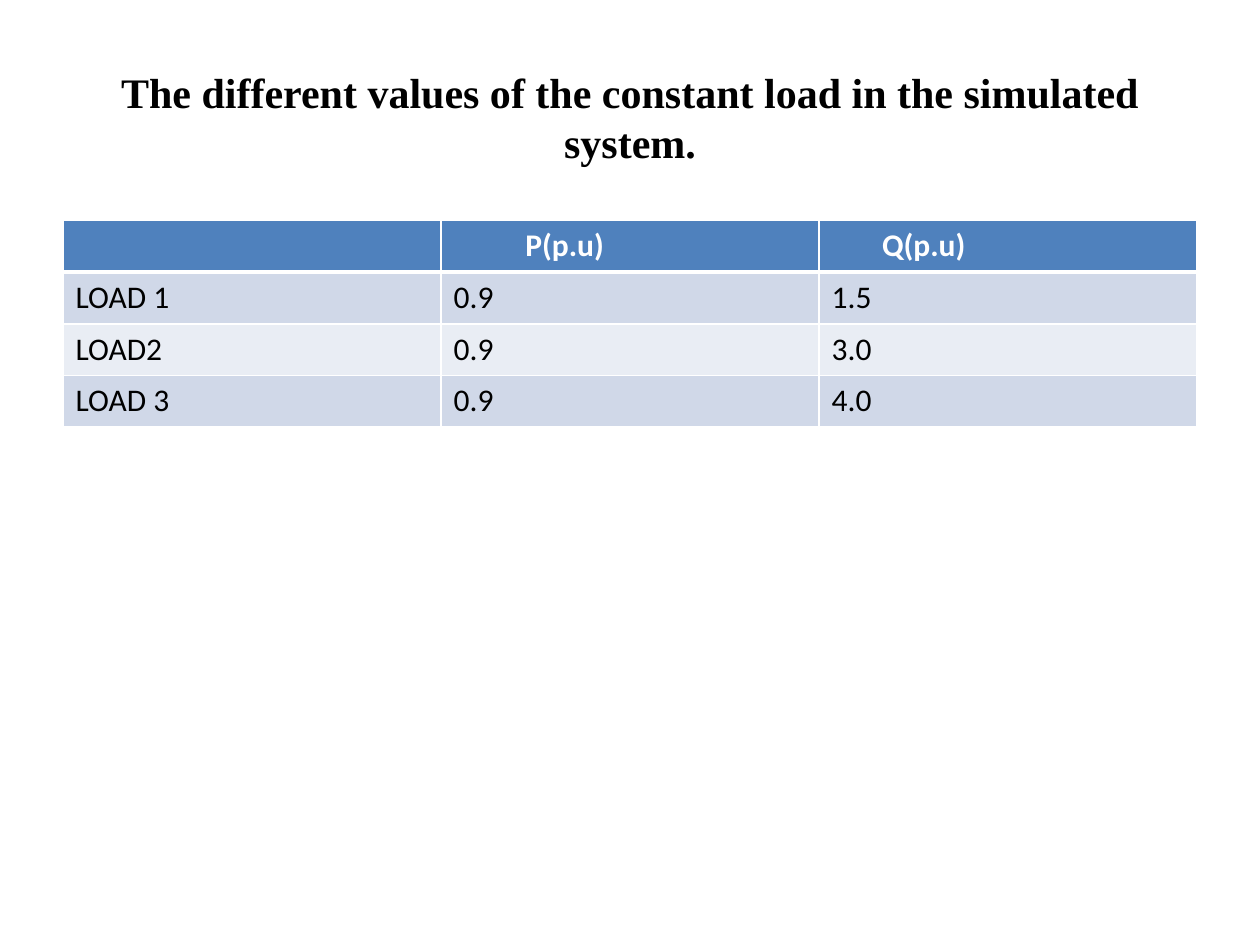
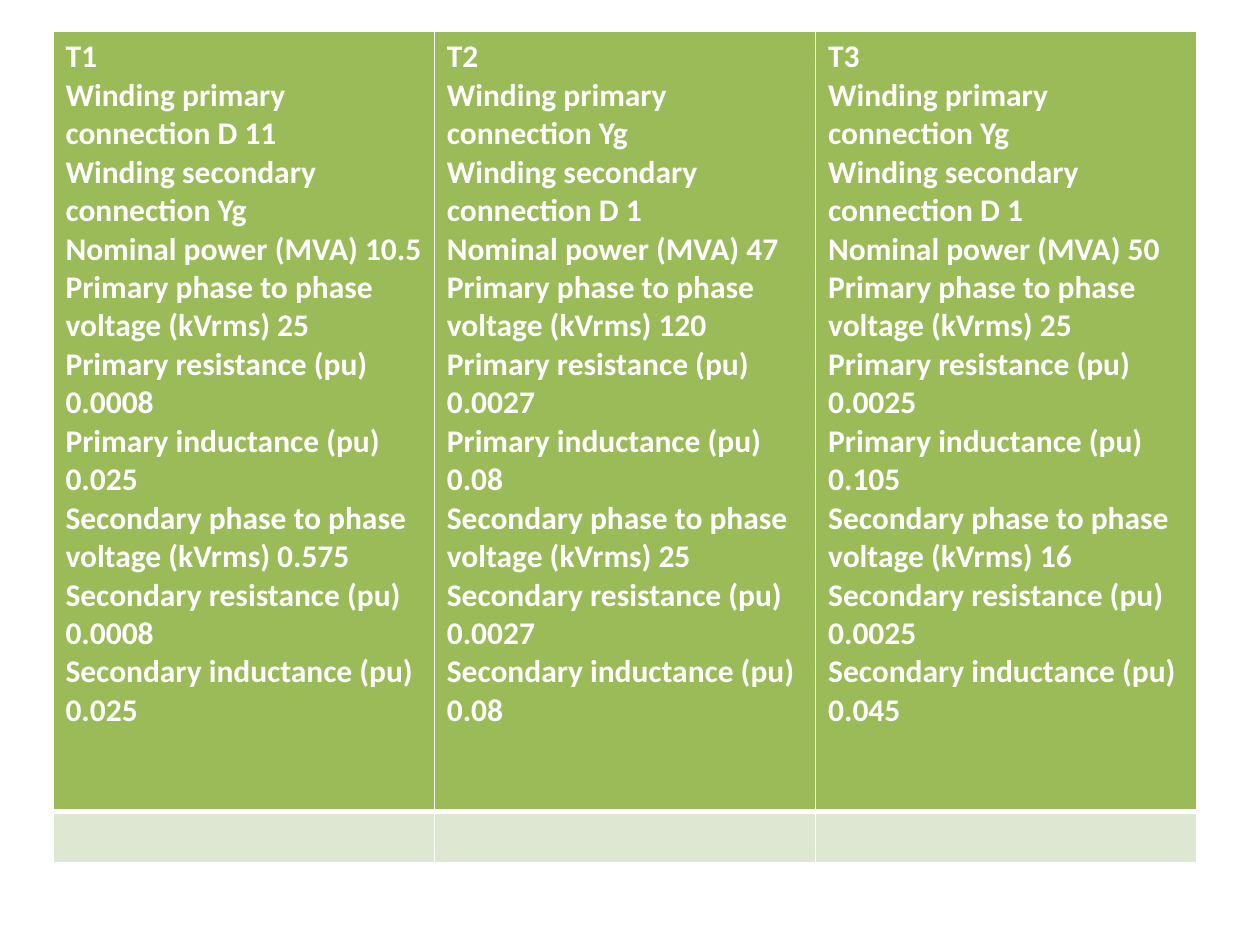
from lxml.etree import SubElement
from pptx import Presentation
from pptx.dml.color import RGBColor
from pptx.enum.text import MSO_ANCHOR, PP_ALIGN
from pptx.oxml.ns import qn
from pptx.util import Inches, Pt

WHITE, BLACK = "FFFFFF", "000000"
BLUE, BLUE_BANDS = "4F81BD", ("D0D8E8", "E9EDF4")
GREEN, GREEN_BANDS = "9BBB59", ("DEE7D1",)
TITLE_FORMAT = {"name": "Times New Roman", "size": Pt(24), "bold": True}
CELL_FORMAT = {"name": "Calibri", "size": Pt(18)}
THIN, THICK = 1, 3


def style_font(font, color, settings):
    for attribute, value in settings.items():
        setattr(font, attribute, value)
    font.color.rgb = RGBColor.from_string(color)


def add_grid(slide, contents, left, top, width, row_heights, head_color, bands):
    """Add a table with a coloured head row, banded body rows and white rules."""
    grid = slide.shapes.add_table(len(contents), len(contents[0]), left, top,
                                  width, sum(row_heights)).table
    for r, (texts, height) in enumerate(zip(contents, row_heights)):
        grid.rows[r].height = height
        head = r == 0
        rules = {"a:lnL": THIN, "a:lnR": THIN,
                 "a:lnT": THICK if r == 1 else THIN,
                 "a:lnB": THICK if head else THIN}
        for c, text in enumerate(texts):
            cell = grid.cell(r, c)
            cell.text = text
            for paragraph in cell.text_frame.paragraphs:
                style_font(paragraph.font, WHITE if head else BLACK,
                           {**CELL_FORMAT, "bold": head})
                for run in paragraph.runs:
                    style_font(run.font, WHITE if head else BLACK,
                               {**CELL_FORMAT, "bold": head})
            properties = cell._tc.get_or_add_tcPr()
            for tag, points in rules.items():
                rule = SubElement(properties, qn(tag), w=str(Pt(points)))
                paint = SubElement(rule, qn("a:solidFill"))
                SubElement(paint, qn("a:srgbClr"), val=WHITE)
            cell.fill.solid()
            cell.fill.fore_color.rgb = RGBColor.from_string(
                head_color if head else bands[(r - 1) % len(bands)])
    return grid


deck = Presentation()
deck.slide_width, deck.slide_height = Inches(10), Inches(7.5)
W, H = deck.slide_width, deck.slide_height
MARGIN = int(W * 0.05)

# Slide 1: constant loads
loads_slide = deck.slides.add_slide(deck.slide_layouts[5])
heading = loads_slide.shapes.title
heading.left, heading.top = MARGIN, int(H * 0.04)
heading.width, heading.height = W - 2 * MARGIN, int(H / 6)
heading.text_frame.vertical_anchor = MSO_ANCHOR.MIDDLE
heading.text_frame.text = ("The different values of the constant load "
                           "in the simulated\vsystem.")
heading_line = heading.text_frame.paragraphs[0]
heading_line.alignment = PP_ALIGN.CENTER
for run in heading_line.runs:
    style_font(run.font, BLACK, TITLE_FORMAT)

loads = [
    ["", "P(p.u)", "Q(p.u)"],
    ["LOAD 1", "0.9", "1.5"],
    ["LOAD2", "0.9", "3.0"],
    ["LOAD 3", "0.9", "4.0"],
]
load_grid = add_grid(loads_slide, loads, MARGIN, Inches(1.75), W - 2 * MARGIN,
                     [Inches(0.41)] * len(loads), BLUE, BLUE_BANDS)
for column, indent in {1: 0.67, 2: 0.5}.items():
    load_grid.cell(0, column).margin_left = Inches(indent)

# Slide 2: transformer parameters
transformer_slide = deck.slides.add_slide(deck.slide_layouts[6])
parameters = [
    "Winding primary connection",
    "Winding secondary connection",
    "Nominal power (MVA)",
    "Primary phase to phase voltage (kVrms)",
    "Primary resistance (pu)",
    "Primary inductance (pu)",
    "Secondary phase to phase voltage (kVrms)",
    "Secondary resistance (pu)",
    "Secondary inductance (pu)",
]
transformers = {
    "T1": ["D 11", "Yg", "10.5", "25", "0.0008", "0.025", "0.575", "0.0008", "0.025"],
    "T2": ["Yg", "D 1", "47", "120", "0.0027", "0.08", "25", "0.0027", "0.08"],
    "T3": ["Yg", "D 1", "50", "25", "0.0025", "0.105", "16", "0.0025", "0.045"],
}
descriptions = [
    "\n".join([name] + [f"{label} {value}" for label, value in zip(parameters, values)])
    for name, values in transformers.items()
]
add_grid(transformer_slide, [descriptions, [""] * len(descriptions)],
         Inches(0.42), int(H / 30), Inches(9.08),
         [Inches(6.19), Inches(0.39)], GREEN, GREEN_BANDS)

deck.save("out.pptx")
